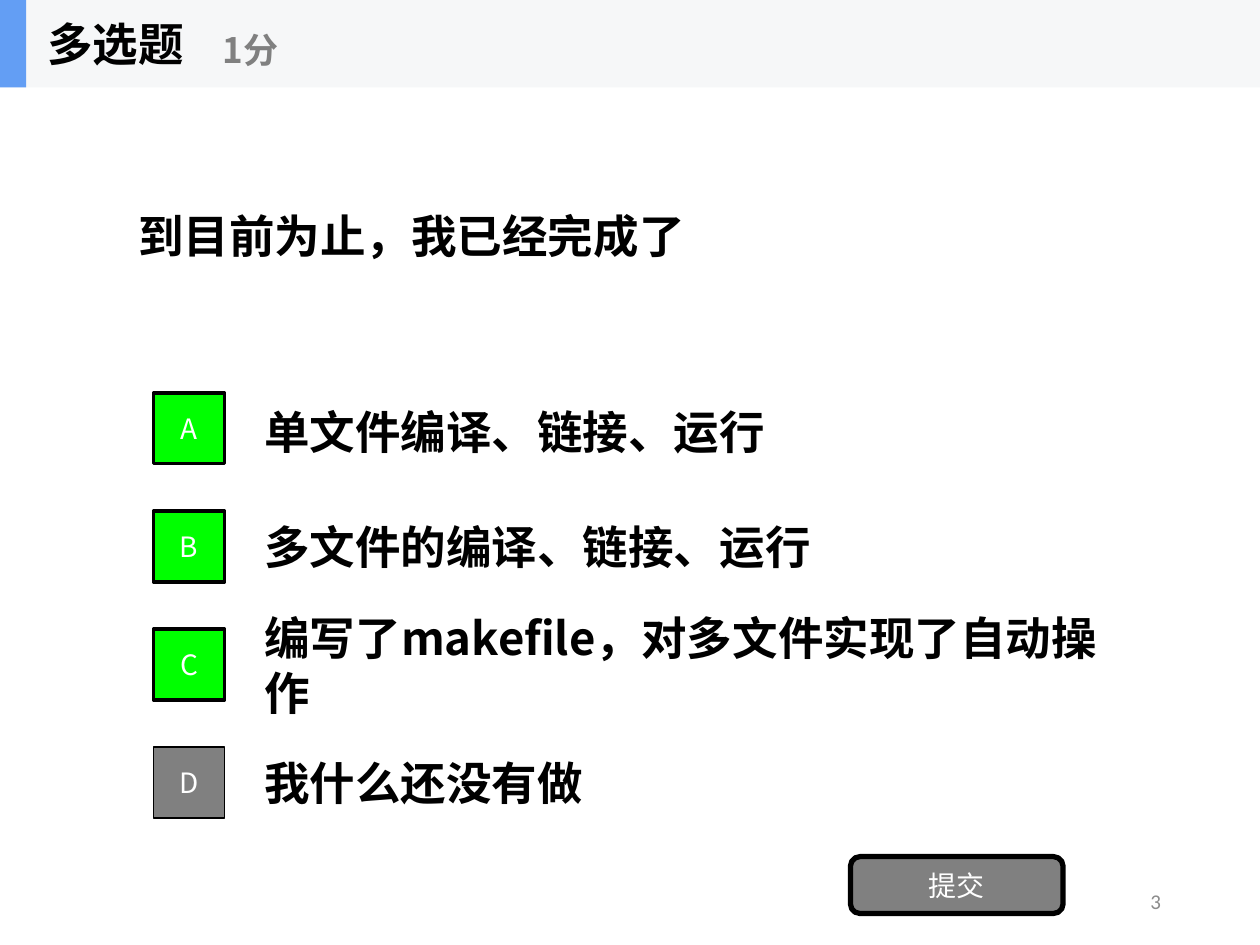
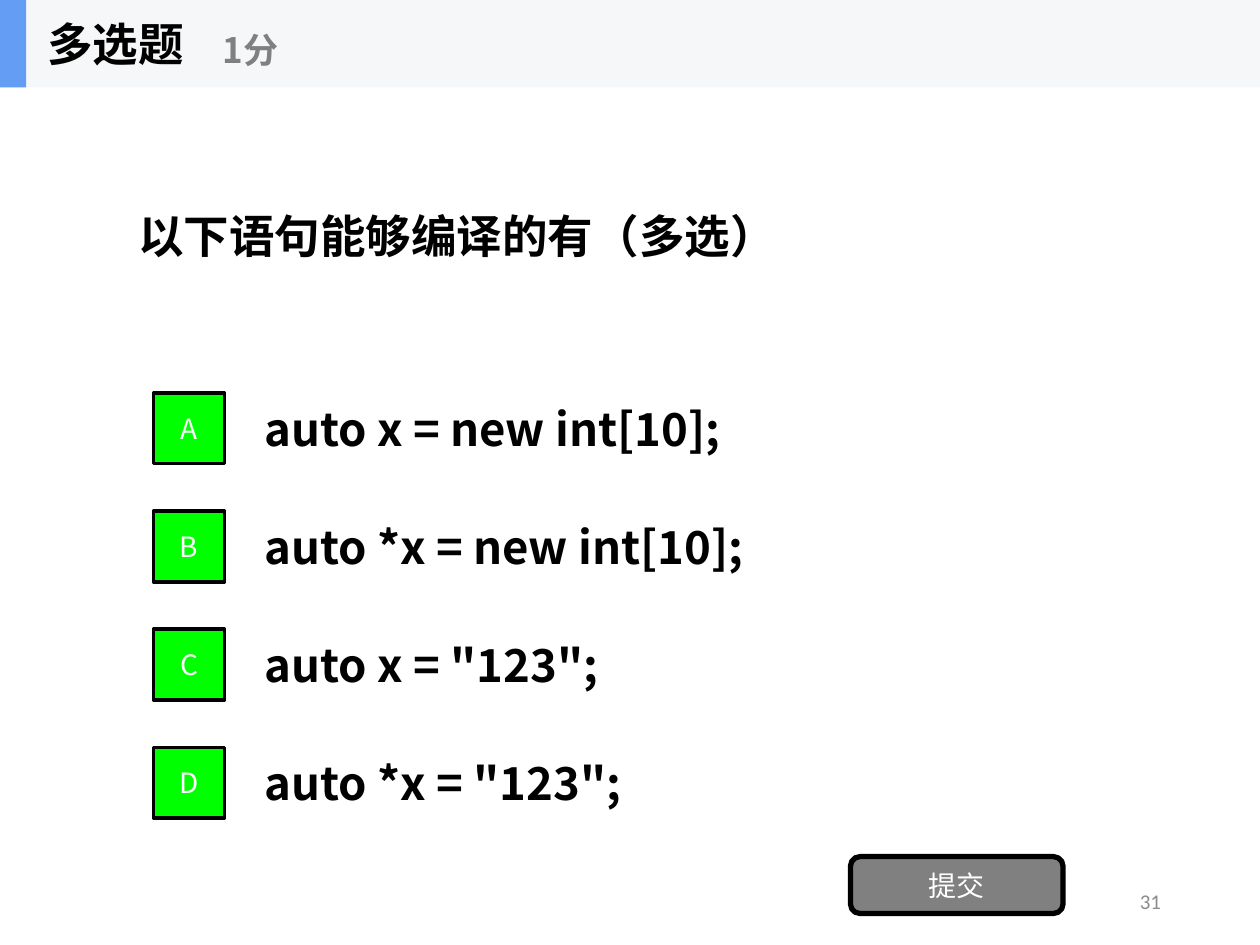
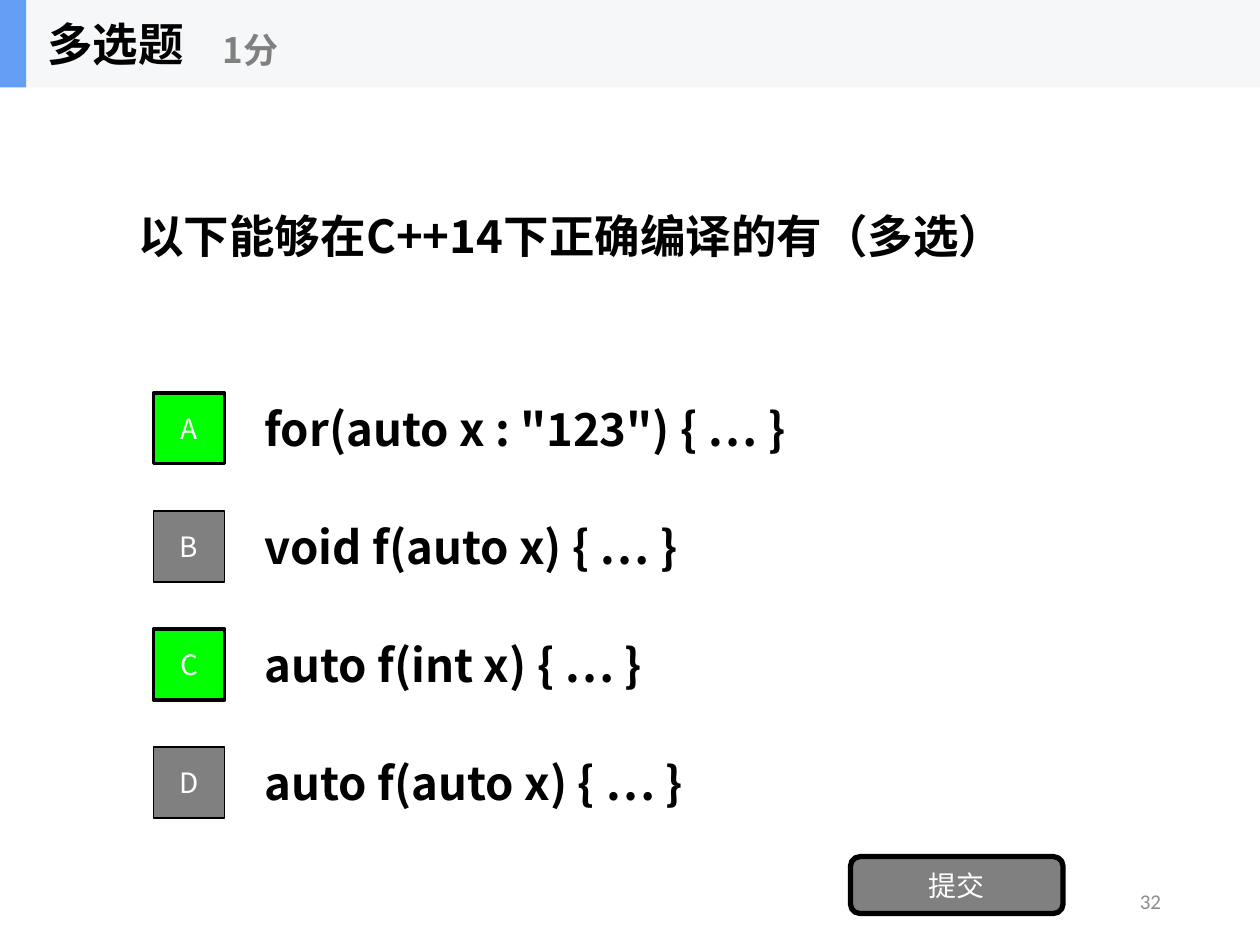
from pptx import Presentation
from pptx import util as u
from pptx.dml.color import RGBColor
from pptx.enum import shapes, text
from pptx.oxml.ns import qn

Pt = u.Pt
HUE = {"ink": "000000", "paper": "FFFFFF", "right": "00FF00", "gray": "808080",
       "band": "F6F7F8", "mark": "639EF4", "page": "8C8C8C"}
SANS = "Noto Sans CJK SC"
RECT = shapes.MSO_SHAPE.RECTANGLE
ROUND = shapes.MSO_SHAPE.ROUNDED_RECTANGLE
LEFT, MID, RIGHT = text.PP_ALIGN.LEFT, text.PP_ALIGN.CENTER, text.PP_ALIGN.RIGHT

# page number, question, options, letters of the right answers, drop of option A
QUIZ = [
    ("3", "到目前为止，我已经完成了",
     ["单文件编译、链接、运行", "多文件的编译、链接、运行",
      "编写了makefile，对多文件实现了自动操作", "我什么还没有做"], "ABC", 2),
    ("31", "以下语句能够编译的有（多选）",
     ["auto x = new int[10];", "auto *x = new int[10];",
      'auto x = "123";', 'auto *x = "123";'], "ABCD", 0),
    ("32", "以下能够在C++14下正确编译的有（多选）",
     ['for(auto x : "123") { … }', "void f(auto x) { … }",
      "auto f(int x) { … }", "auto f(auto x) { … }"], "AC", 0),
]
TOP, STEP = 219.5, 67.5  # first option and distance between options


def write(words, *, on, at=None, size=26, hue="ink", bold=True, font=SANS,
          align=LEFT, wrap=True):
    """Write words on a shape, or in a new text box when a place is given."""
    box = on.add_textbox(*map(Pt, at)) if at else on
    frame = box.text_frame
    frame.word_wrap = wrap
    frame.vertical_anchor = text.MSO_ANCHOR.MIDDLE
    par = frame.paragraphs[0]
    par.alignment = align
    run = par.add_run()
    run.text = words
    run.font.size, run.font.bold, run.font.name = Pt(size), bold, font
    run.font.color.rgb = RGBColor.from_string(HUE[hue])
    east = run.font._element.makeelement(qn("a:ea"), {"typeface": font})
    run.font._element.find(qn("a:latin")).addnext(east)


def draw(on, kind, at, fill, line=0):
    shape = on.add_shape(kind, *map(Pt, at))
    shape.shadow.inherit = False
    shape.fill.solid()
    shape.fill.fore_color.rgb = RGBColor.from_string(HUE[fill])
    if line:
        shape.line.color.rgb = RGBColor.from_string(HUE["ink"])
        shape.line.width = Pt(line)
    else:
        shape.line.fill.background()
    return shape


deck = Presentation()
deck.slide_width, deck.slide_height = Pt(720), Pt(540)

for page, ask, options, right, drop in QUIZ:
    slide = deck.slides.add_slide(deck.slide_layouts[6])
    slide.background.fill.solid()
    slide.background.fill.fore_color.rgb = RGBColor.from_string(HUE["paper"])
    items = slide.shapes

    write(page, on=items, at=(508.5, 500.5, 162, 28.75), size=12, hue="page",
          bold=False, font="Calibri", align=RIGHT)
    write(ask, on=items, at=(72, 50, 576, 168.5))

    for i, (letter, option) in enumerate(zip("ABCD", options)):
        top = TOP + i * STEP
        write(option, on=items, at=(144, top + (drop if i == 0 else 0), 504, 50.5),
              wrap=False)
        good = letter in right
        key = draw(items, RECT, (87.75, top + 5, 40.5, 40.5),
                   "right" if good else "gray", 2 if good else 1)
        write(letter, on=key, size=16, hue="paper", bold=False, align=MID)

    send = draw(items, ROUND, (486, 489.5, 121.5, 32.5), "gray", 3)
    write("提交", on=send, size=16, hue="paper", bold=False, align=MID)

    head = items.add_group_shape().shapes
    draw(head, RECT, (0, 0, 720, 50), "band")
    draw(head, RECT, (0, 0, 15, 50), "mark")
    write("多选题", on=head, at=(20, 0, 150, 50), wrap=False)
    write("1分", on=head, at=(120, 8.5, 180, 40), size=20, hue="gray", wrap=False)

deck.save("out.pptx")
